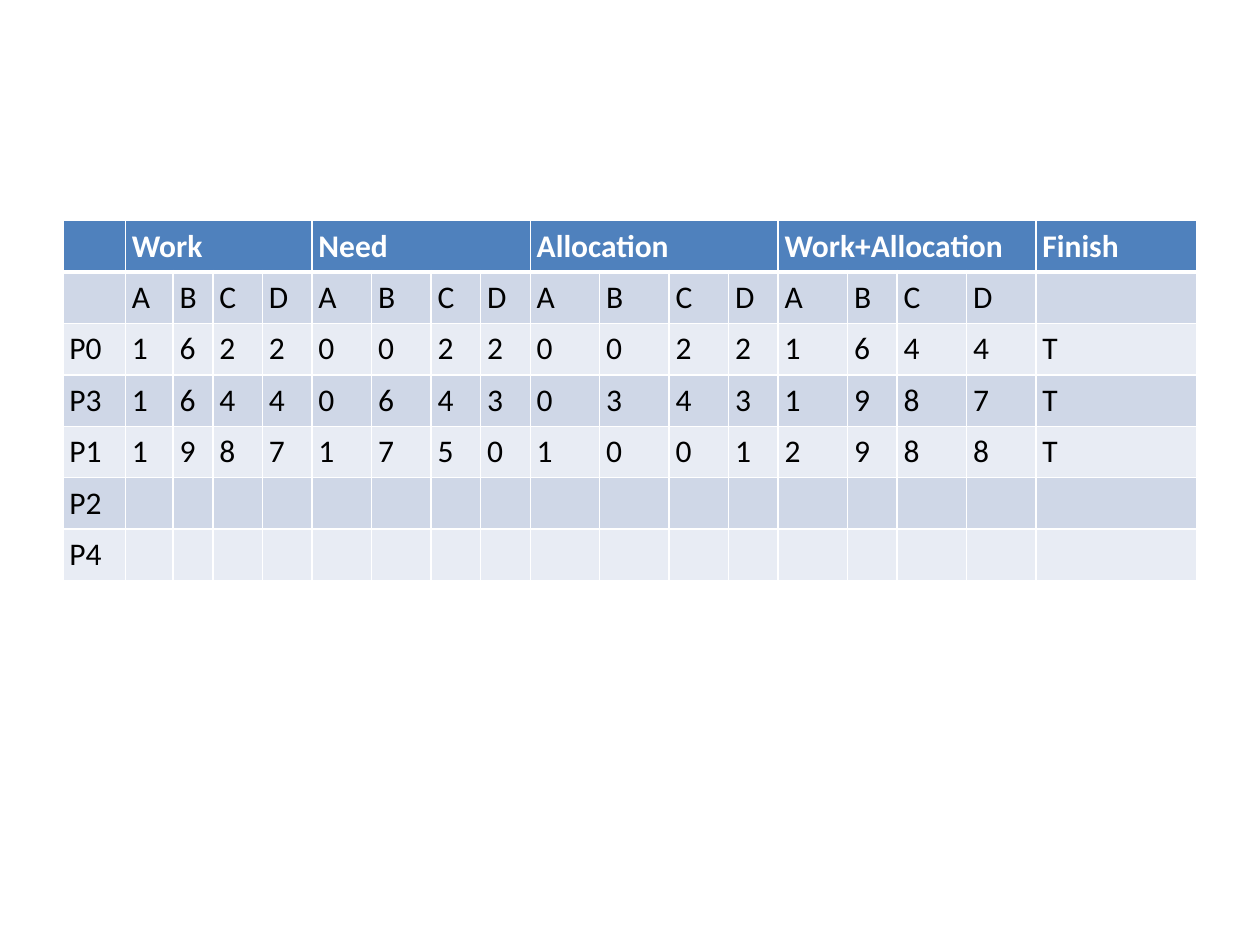
from lxml import etree
from pptx import Presentation
from pptx import util as u
from pptx.dml.color import RGBColor
from pptx.oxml import ns

HEADER_BLUE = RGBColor(0x4F, 0x81, 0xBD)
BAND_DARK = RGBColor(0xCF, 0xD7, 0xE7)
BAND_LIGHT = RGBColor(0xE8, 0xEC, 0xF4)
WHITE = RGBColor(0xFF, 0xFF, 0xFF)
BLACK = RGBColor(0x00, 0x00, 0x00)

GROUPS = ["Work", "Need", "Allocation", "Work+Allocation"]
RESOURCES = ["A", "B", "C", "D"]
COLUMN_WIDTHS = [1.26, 0.96, 0.8, 1, 1, 1.2, 1.2, 1, 1,
                 1.4, 1.4, 1.2, 1, 1.4, 1, 1.4, 1.4, 3.24]
ROW_HEIGHT = 1.03
BLANK_STEP = [""] * (len(COLUMN_WIDTHS) - 1)

header = [""]
for group in GROUPS:
    header += [group] + [""] * (len(RESOURCES) - 1)
header.append("Finish")

rows = [
    header,
    ["", *RESOURCES * len(GROUPS), ""],
    ["P0", *"1622" "0022" "0022" "1644", "T"],
    ["P3", *"1644" "0643" "0343" "1987", "T"],
    ["P1", *"1987" "1750" "1001" "2988", "T"],
    ["P2", *BLANK_STEP],
    ["P4", *BLANK_STEP],
]


def write(cell, words, size=18, color=BLACK, bold=False):
    span = cell.text_frame.paragraphs[0].add_run()
    span.text = words
    span.font.name = "Calibri"
    span.font.size = u.Pt(size)
    span.font.bold = bold
    span.font.color.rgb = color


def add_borders(cell, top=1, bottom=1):
    """Draw white lines on all four sides, with widths in points."""
    properties = cell._tc.get_or_add_tcPr()
    sides = [("a:lnL", 1), ("a:lnR", 1), ("a:lnT", top), ("a:lnB", bottom)]
    for position, (side, width) in enumerate(sides):
        line = etree.Element(ns.qn(side), w=str(u.Pt(width)))
        fill = etree.SubElement(line, ns.qn("a:solidFill"))
        etree.SubElement(fill, ns.qn("a:srgbClr"), val=str(WHITE))
        properties.insert(position, line)


deck = Presentation()
deck.slide_width, deck.slide_height = u.Cm(25.4), u.Cm(19.05)
page = deck.slides.add_slide(deck.slide_layouts[6])

table = page.shapes.add_table(
    len(rows), len(COLUMN_WIDTHS), u.Cm(1.27), u.Cm(4.45),
    u.Cm(sum(COLUMN_WIDTHS)), u.Cm(ROW_HEIGHT * len(rows))).table
for column, width in zip(table.columns, COLUMN_WIDTHS):
    column.width = u.Cm(width)

for r, values in enumerate(rows):
    table.rows[r].height = u.Cm(ROW_HEIGHT)
    is_header = r == 0
    for c, value in enumerate(values):
        cell = table.cell(r, c)
        cell.margin_left = cell.margin_right = u.Cm(0.13)
        cell.margin_top = cell.margin_bottom = u.Cm(0.13)
        cell.fill.solid()
        cell.fill.fore_color.rgb = (
            HEADER_BLUE if is_header else BAND_DARK if r % 2 else BAND_LIGHT)
        add_borders(cell, top=3 if r == 1 else 1, bottom=3 if is_header else 1)
        if value:
            write(cell, value, color=WHITE if is_header else BLACK, bold=is_header)

for first in range(1, len(header) - 1, len(RESOURCES)):
    table.cell(0, first).merge(table.cell(0, first + len(RESOURCES) - 1))

deck.save("out.pptx")
